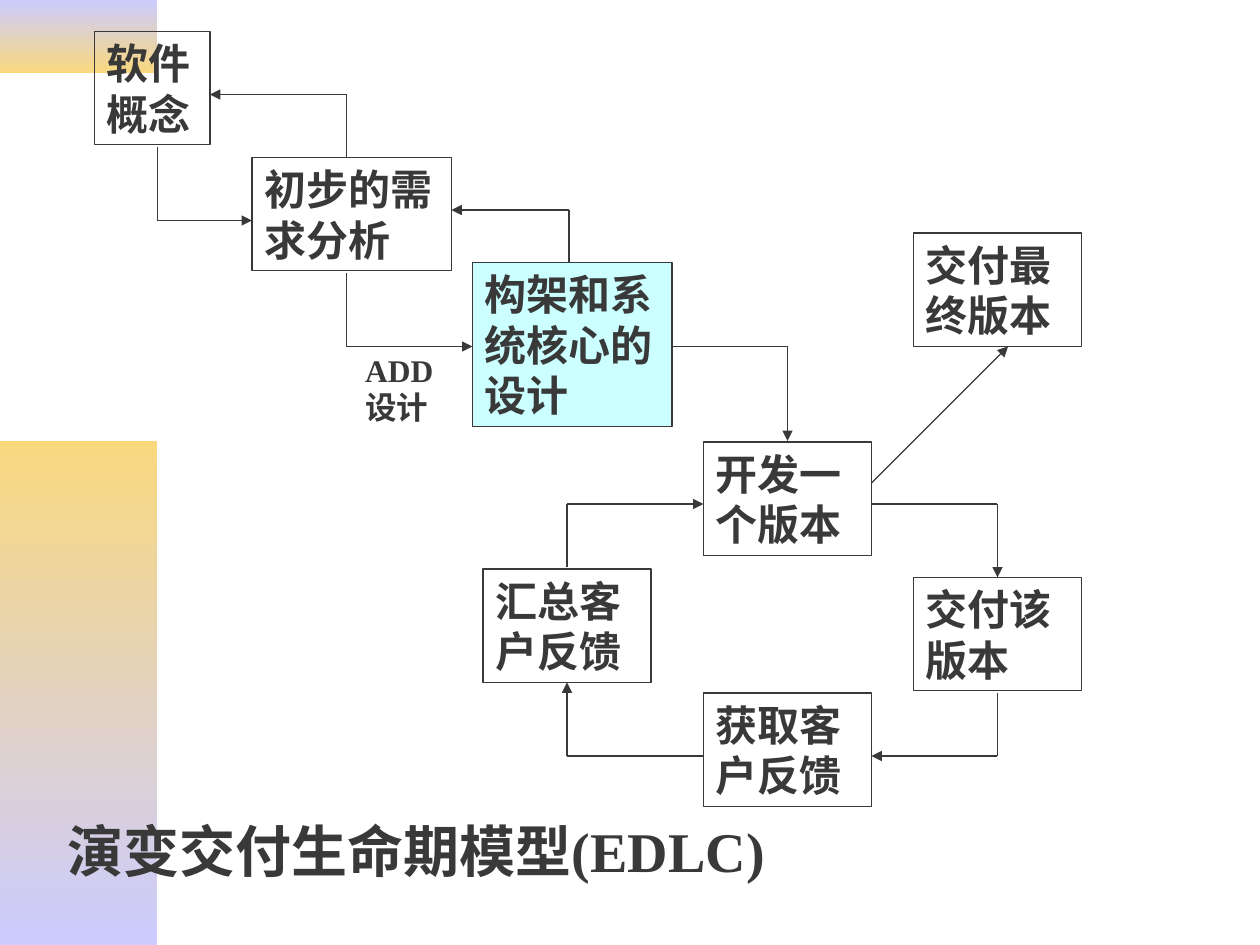
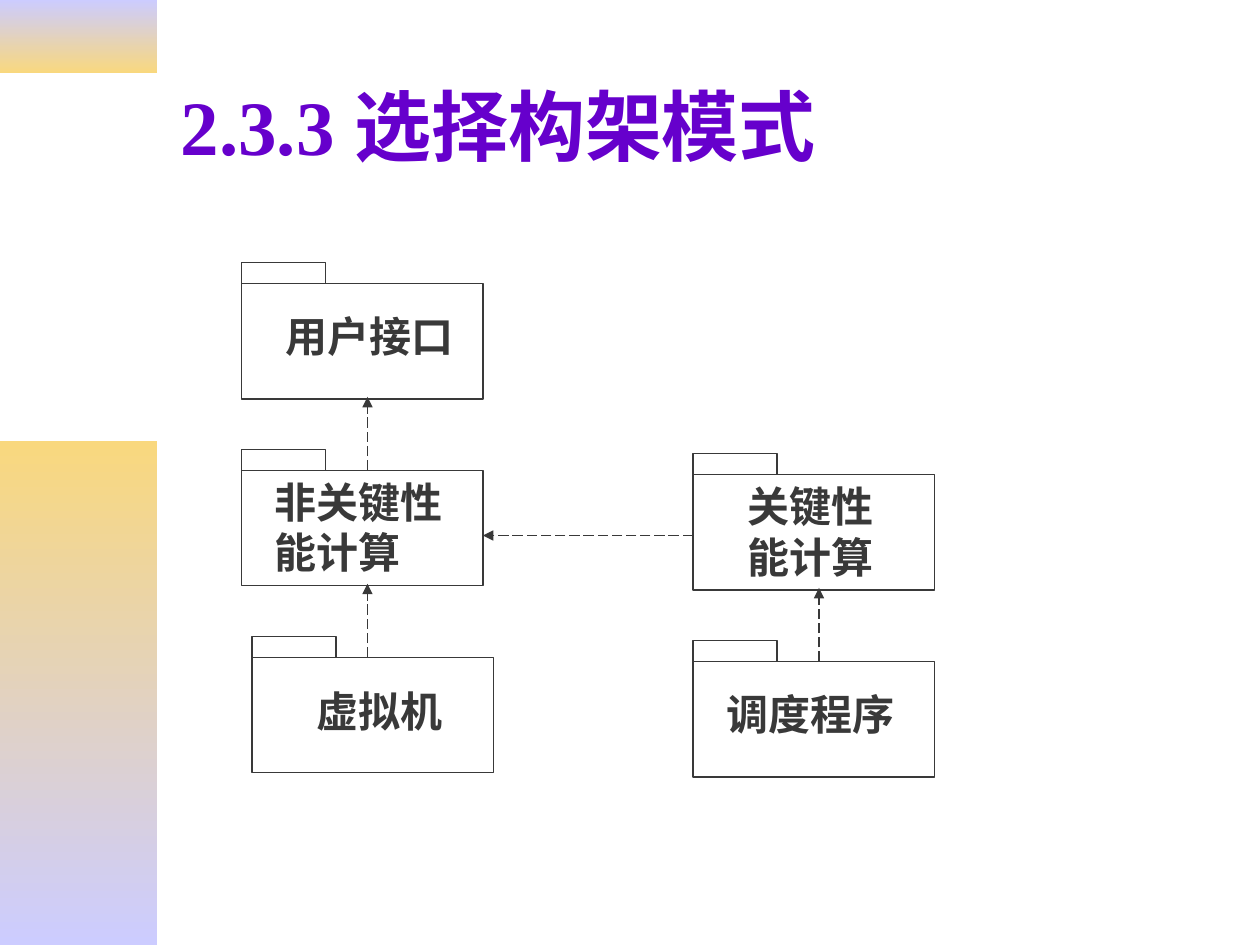
from dataclasses import dataclass

import pptx
import pptx.dml.color
import pptx.enum.dml
import pptx.enum.shapes
import pptx.enum.text
import pptx.oxml
import pptx.oxml.ns
import pptx.util
from pptx.util import Cm

# All places and sizes below are in grid steps, twelve to 2.54 cm.
SLIDE_SIZE = (120, 90)

# Bands on every slide: left, top, width, height, colours from top to bottom
BANDS = [
    (0, 0, 15, 7, ("lavender", "gold")),
    (0, 42, 15, 48, ("gold", "lavender")),
]

LIFECYCLE_TITLE = "演变交付生命期模型(EDLC)"
TWO_LINES, THREE_LINES = 10.8, 15.6
# Text, left, top, width, height, fill
STAGES = [
    ("软件概念", 9, 3, 11, TWO_LINES, None),
    ("初步的需求分析", 24, 15, 19, TWO_LINES, None),
    ("构架和系统核心的设计", 45, 25, 19, THREE_LINES, "cyan"),
    ("汇总客户反馈", 46, 54.2, 16, TWO_LINES, None),
    ("开发一个版本", 67, 42.1, 16, TWO_LINES, None),
    ("交付该版本", 87, 55, 16, TWO_LINES, None),
    ("获取客户反馈", 67, 66, 16, TWO_LINES, None),
    ("交付最终版本", 87, 22.2, 16, TWO_LINES, None),
]
STAGE_ROUTES = [
    [(33, 15), (33, 9), (20, 9)],
    [(15, 14), (15, 21), (24, 21)],
    [(33, 26), (33, 33), (45, 33)],
    [(54.2, 25), (54.2, 20), (43, 20)],
    [(67, 72), (54, 72), (54, 65)],
    [(54, 54), (54, 48), (67, 48)],
    [(83, 48), (95, 48), (95, 55)],
    [(95, 66), (95, 72), (83, 72)],
    [(64, 33), (75, 33), (75, 42)],
    [(83, 46), (96, 33)],
]
METHOD_NOTE = ("ADD设计", 33.6, 32.8, 9.5, 8.4)

PATTERN_TITLE = "2.3.3 选择构架模式"
PACKAGE_SIZE = (23, 11)
TAB_SIZE = (8, 2)
# Text, package left and top, then label left, top, width, height
PACKAGES = [
    ("用户接口", (23, 27), (26, 29, 19, 6)),
    ("非关键性能计算", (23, 44.8), (25, 44.8, 20, TWO_LINES)),
    ("虚拟机", (24, 62.6), (29, 64.7, 15, 6)),
    ("关键性能计算", (66, 45.2), (70, 45.2, 16, TWO_LINES)),
    ("调度程序", (66, 63), (68, 65, 19, 6)),
]
DEPENDENCIES = [
    [(35, 44.8), (35, 37.8)],
    [(35, 62.6), (35, 55.6)],
    [(78, 63), (78, 56)],
    [(66, 51), (46, 51)],
]


@dataclass(frozen=True)
class Theme:
    font: str = "Times New Roman"
    ink: str = "393939"
    purple: str = "6600CC"
    cyan: str = "CCFFFF"
    lavender: str = "CCCCFF"
    gold: str = "F9D87E"
    title_size: int = 44
    caption_size: int = 32
    body_size: int = 24
    note_size: int = 18
    line_width: float = 0.75

    def color(self, name):
        return pptx.dml.color.RGBColor.from_string(getattr(self, name))


THEME = Theme()


def grid(*steps):
    return [Cm(step * 2.54 / 12) for step in steps]


def write_text(shape, text, size, color="ink", anchor=pptx.enum.text.MSO_ANCHOR.TOP):
    frame = shape.text_frame
    frame.text = text
    frame.word_wrap = True
    frame.auto_size = pptx.enum.text.MSO_AUTO_SIZE.NONE
    frame.vertical_anchor = anchor
    paragraph = frame.paragraphs[0]
    paragraph.alignment = pptx.enum.text.PP_ALIGN.LEFT
    font = paragraph.runs[0].font
    font.name = THEME.font
    font.size = pptx.util.Pt(size)
    font.bold = True
    font.color.rgb = THEME.color(color)


def style_line(line):
    line.color.rgb = THEME.color("ink")
    line.width = pptx.util.Pt(THEME.line_width)


def add_rectangle(slide, left, top, width, height):
    kind = pptx.enum.shapes.MSO_SHAPE.RECTANGLE
    shape = slide.shapes.add_shape(kind, *grid(left, top, width, height))
    shape.shadow.inherit = False
    return shape


def add_outlined_box(slide, left, top, width, height, fill=None):
    box = add_rectangle(slide, left, top, width, height)
    style_line(box.line)
    if fill:
        box.fill.solid()
        box.fill.fore_color.rgb = THEME.color(fill)
    else:
        box.fill.background()
    return box


def add_label(slide, text, place, size):
    write_text(slide.shapes.add_textbox(*grid(*place)), text, size)


def append_drawing_element(parent, tag, attributes=""):
    namespace = pptx.oxml.ns.nsdecls("a")
    parent.append(pptx.oxml.parse_xml(f"<a:{tag} {namespace} {attributes}/>"))


def add_route(slide, points, dash=None):
    """Join the points with straight lines and put an arrowhead at the last."""
    for start, end in zip(points, points[1:]):
        connector = slide.shapes.add_connector(
            pptx.enum.shapes.MSO_CONNECTOR.STRAIGHT, *grid(*start, *end))
        style_line(connector.line)
        if dash:
            connector.line.dash_style = dash
        properties = connector.element.spPr
        if end == points[-1]:
            outline = properties.find(pptx.oxml.ns.qn("a:ln"))
            append_drawing_element(outline, "tailEnd", 'type="triangle"')
        append_drawing_element(properties, "effectLst")


def add_bands_to_master(presentation, slide):
    """Draw the bands on a slide and move them to the master, behind the rest."""
    master_tree = presentation.slide_master.shapes.element
    for *place, colors in BANDS:
        band = add_rectangle(slide, *place)
        band.line.fill.background()
        band.fill.gradient()
        band.fill.gradient_angle = 270
        for stop, color in zip(band.fill.gradient_stops, colors):
            stop.color.rgb = THEME.color(color)
        master_tree.insert(2, band.element)


def add_titled_slide(presentation, text, place, size, color, anchor):
    slide = presentation.slides.add_slide(presentation.slide_layouts[5])
    title = slide.shapes.title
    title.left, title.top, title.width, title.height = grid(*place)
    write_text(title, text, size, color, anchor)
    return slide


def build_lifecycle_slide(presentation):
    slide = add_titled_slide(
        presentation, LIFECYCLE_TITLE, (5.2, 77.2, 76.7, 7.7),
        THEME.caption_size, "ink", pptx.enum.text.MSO_ANCHOR.TOP)
    for text, *place, fill in STAGES:
        write_text(add_outlined_box(slide, *place, fill), text, THEME.body_size)
    for route in STAGE_ROUTES:
        add_route(slide, route)
    text, *place = METHOD_NOTE
    add_label(slide, text, place, THEME.note_size)
    return slide


def build_pattern_slide(presentation):
    slide = add_titled_slide(
        presentation, PATTERN_TITLE, (16, 4, 102, 15.8),
        THEME.title_size, "purple", pptx.enum.text.MSO_ANCHOR.MIDDLE)
    for text, (left, top), label_place in PACKAGES:
        add_outlined_box(slide, left, top, *PACKAGE_SIZE)
        add_outlined_box(slide, left, top - TAB_SIZE[1], *TAB_SIZE)
        add_label(slide, text, label_place, THEME.body_size)
    for route in DEPENDENCIES:
        add_route(slide, route, pptx.enum.dml.MSO_LINE.LONG_DASH)


def main():
    presentation = pptx.Presentation()
    presentation.slide_width, presentation.slide_height = grid(*SLIDE_SIZE)
    lifecycle_slide = build_lifecycle_slide(presentation)
    add_bands_to_master(presentation, lifecycle_slide)
    build_pattern_slide(presentation)
    presentation.save("out.pptx")


if __name__ == "__main__":
    main()
